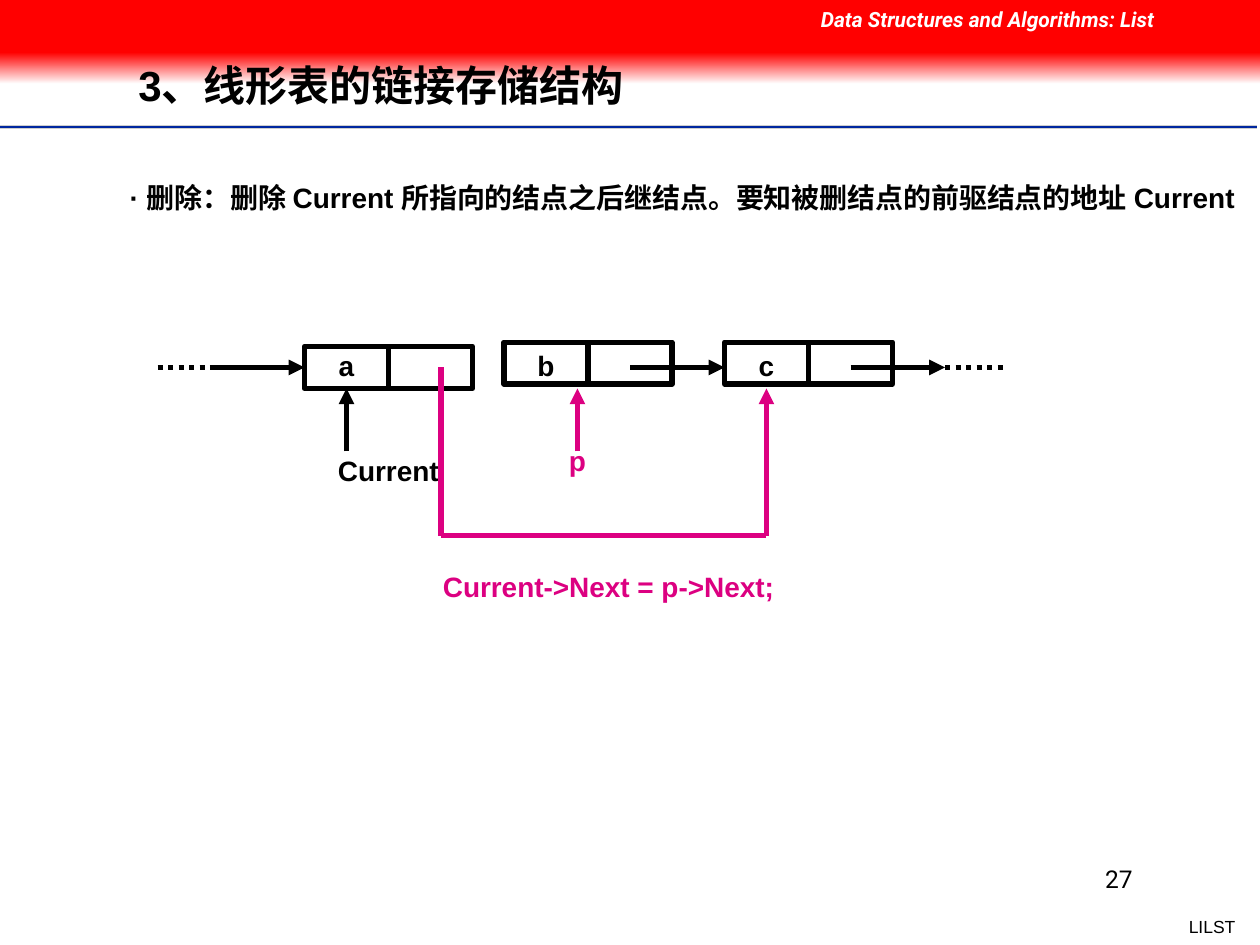
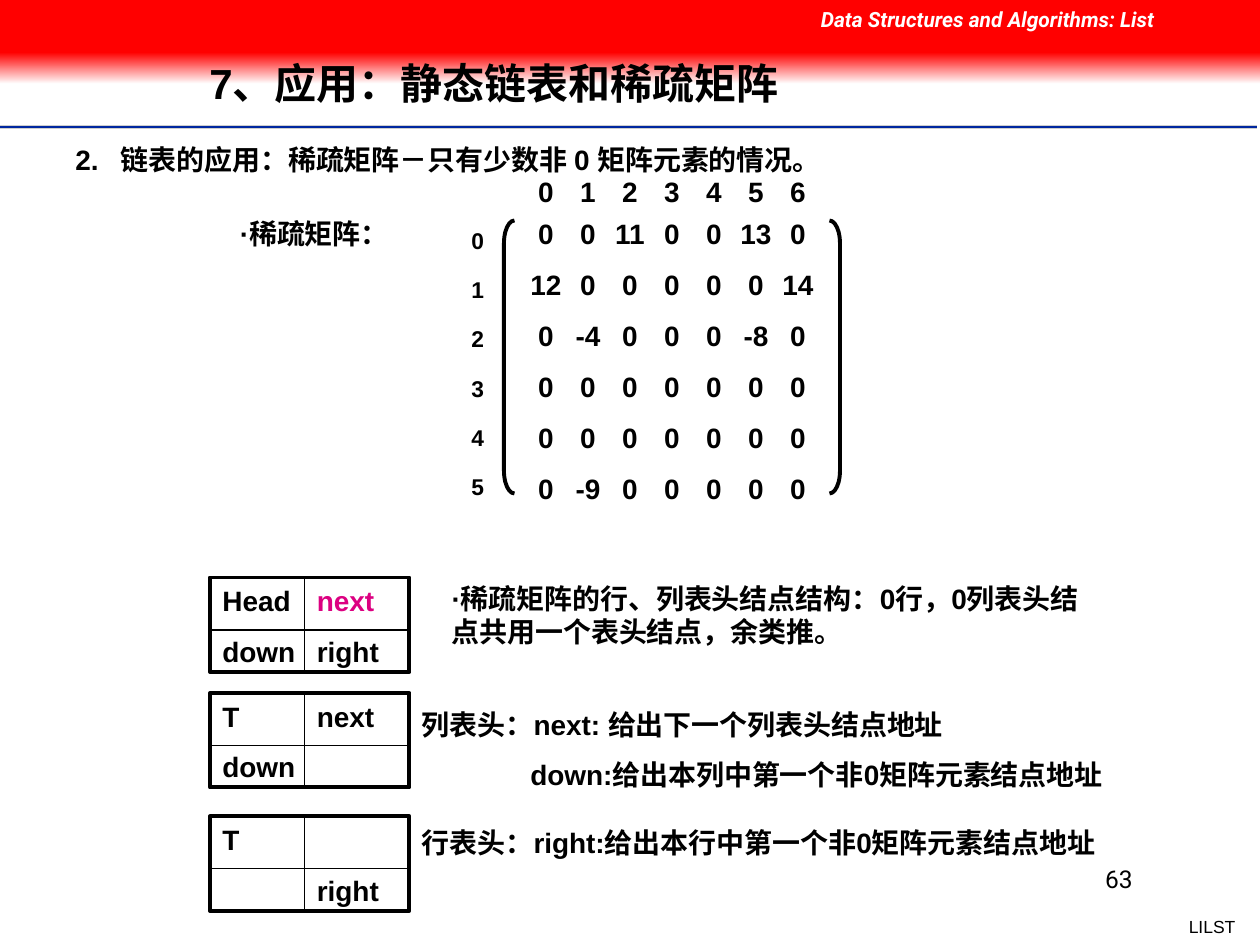
from dataclasses import dataclass

from lxml import etree
from pptx import Presentation
from pptx.dml.color import RGBColor
from pptx.enum.dml import MSO_LINE
from pptx.enum.shapes import MSO_CONNECTOR, MSO_SHAPE
from pptx.enum.text import MSO_ANCHOR, PP_ALIGN
from pptx.oxml.ns import qn
from pptx.util import Pt

RECT = MSO_SHAPE.RECTANGLE
LEFT_BRACKET, RIGHT_BRACKET = MSO_SHAPE.LEFT_BRACKET, MSO_SHAPE.RIGHT_BRACKET
STRAIGHT = MSO_CONNECTOR.STRAIGHT
DOTTED = MSO_LINE.ROUND_DOT
TOP, MIDDLE = MSO_ANCHOR.TOP, MSO_ANCHOR.MIDDLE
LEFT, CENTER, RIGHT = PP_ALIGN.LEFT, PP_ALIGN.CENTER, PP_ALIGN.RIGHT


@dataclass(frozen=True)
class Theme:
    width: int = 720
    height: int = 540
    font: str = "Arial"
    band_font: str = "Roboto"
    black: str = "000000"
    white: str = "FFFFFF"
    red: str = "FF0000"
    pink: str = "DC0081"
    blue: str = "00279F"
    grey: str = "CECECE"
    title: int = 24
    body: int = 16
    page: int = 14
    index: int = 13
    band: int = 12
    footer: int = 10
    heavy: float = 3
    medium: float = 2.25
    thin: float = 0.75
    gap: int = 10
    line_box: float = 26.6


T = Theme()
rgb = RGBColor.from_string


def add_text(s, box, paras, *, size=T.body, color=T.black, font=T.font,
             bold=True, italic=False, align=LEFT, anchor=TOP, wrap=True,
             margin=0, indent=0, gap=T.gap, spacing=None):
    """Takes one string, or a list with one string for each paragraph."""
    tf = s.shapes.add_textbox(*map(Pt, box)).text_frame
    tf.word_wrap = wrap
    tf.vertical_anchor = anchor
    for i, para in enumerate([paras] if isinstance(paras, str) else paras):
        p = tf.add_paragraph() if i else tf.paragraphs[0]
        p.alignment = align
        if spacing:
            p.line_spacing = spacing
        if i:
            p.space_before = Pt(gap)
        if margin:
            pPr = p._p.get_or_add_pPr()
            pPr.set("marL", str(Pt(margin)))
            pPr.set("indent", str(Pt(indent)))
        r = p.add_run()
        r.text = para
        r.font.name, r.font.size = font, Pt(size)
        r.font.bold, r.font.italic = bold, italic
        r.font.color.rgb = rgb(color)


def add_shape(s, kind, box, fill=None, width=None):
    sp = s.shapes.add_shape(kind, *map(Pt, box))
    sp.shadow.inherit = False
    if fill:
        sp.fill.solid()
        sp.fill.fore_color.rgb = rgb(fill)
    else:
        sp.fill.background()
    if width:
        sp.line.color.rgb = rgb(T.black)
        sp.line.width = Pt(width)
    else:
        sp.line.fill.background()
    return sp


def add_line(s, start, end, width=T.heavy, color=T.black, arrow=False, dash=None):
    c = s.shapes.add_connector(STRAIGHT, *map(Pt, (*start, *end)))
    c.line.color.rgb = rgb(color)
    c.line.width = Pt(width)
    if dash:
        c.line.dash_style = dash
    spPr = c._element.spPr
    if arrow:
        etree.SubElement(spPr.find(qn("a:ln")), qn("a:tailEnd"), type="triangle")
    etree.SubElement(spPr, qn("a:effectLst"))


def add_frame(s, page, title, title_left, title_top):
    """Rules, footer, page number, red band and title of every slide."""
    for y, width, color in [(72.7, 2, T.grey), (72.7, 1, T.blue), (74.2, 1, T.white)]:
        add_line(s, (0, y), (718.5, y), width, color)
    add_text(s, (672, 520, 41, 19), "LILST", size=T.footer, bold=False,
             align=RIGHT, wrap=False)
    add_text(s, (516.4, 490.4, 138, 36), page, size=T.page, font=T.band_font,
             bold=False, align=RIGHT)
    fade = add_shape(s, RECT, (0, 30, T.width, 18), T.red)
    fade.fill.gradient()
    fade.fill.gradient_angle = 270
    for stop, color in zip(fade.fill.gradient_stops, (T.red, T.white)):
        stop.color.rgb = rgb(color)
    add_shape(s, RECT, (0, 0, T.width, 30), T.red)
    add_text(s, (462, 0, 258, 21.6), "Data Structures and Algorithms: List",
             size=T.band, color=T.white, font=T.band_font, italic=True)
    add_text(s, (title_left, title_top, 544, 53), title, size=T.title,
             anchor=MIDDLE, spacing=0.9)


def add_list_node(s, x, y, label, label_top):
    w, h = 96, 24
    add_shape(s, RECT, (x, y, w, h), T.white, T.heavy)
    add_line(s, (x + w / 2, y), (x + w / 2, y + h))
    add_text(s, (x, label_top, w / 2, T.line_box), label, align=CENTER)


def add_linked_list(s, x, y):
    """Nodes a, b and c with their links, and the link that skips b."""
    axis, below, stem, floor = y + 14.5, y + 26.5, y + 62.5, y + 110.5
    for label, dx, dy in [("a", 84, 2.5), ("b", 198, 0), ("c", 324, 0)]:
        add_list_node(s, x + dx, y + dy, label, y)
    for dx in (30, 270, 396):
        add_line(s, (x + dx, axis), (x + dx + 54, axis), arrow=True)
    for dx, length in [(0, 30), (450, 36)]:
        add_line(s, (x + dx, axis), (x + dx + length, axis), dash=DOTTED)
    for dx, color in [(108, T.black), (240, T.pink)]:
        add_line(s, (x + dx, stem), (x + dx, below), color=color, arrow=True)
    add_text(s, (x + 96, y + 60, 90, T.line_box), "Current")
    add_text(s, (x + 228, y + 54.5, 24, T.line_box), "p", color=T.pink)

    skip_from, skip_to = x + 162, x + 348
    add_line(s, (skip_from, axis), (skip_from, floor), color=T.pink)
    add_line(s, (skip_from, floor), (skip_to, floor), color=T.pink)
    add_line(s, (skip_to, floor), (skip_to, below), color=T.pink, arrow=True)
    add_text(s, (x + 156, y + 126.5, 240, T.line_box), "Current->Next = p->Next;",
             color=T.pink)


def add_matrix(s, x, y):
    """Sparse matrix in brackets, with row and column numbers."""
    rows = ["0 0 11 0 0 13 0", "12 0 0 0 0 0 14", "0 -4 0 0 0 -8 0",
            "0 0 0 0 0 0 0", "0 0 0 0 0 0 0", "0 -9 0 0 0 0 0"]
    pitch, width = 24, 36
    for i, column in enumerate(zip(*(row.split() for row in rows))):
        left = x + 36 + i * pitch
        add_text(s, (left, y - 24, width, T.line_box), str(i), align=CENTER)
        add_text(s, (left, y, width, 173), column, align=CENTER)
    add_text(s, (x, y + 6, 30, 163), [str(i) for i in range(len(rows))],
             size=T.index, align=CENTER, gap=12.5)
    for kind, dx in [(LEFT_BRACKET, 30), (RIGHT_BRACKET, 216)]:
        bracket = add_shape(s, kind, (x + dx, y + 6, 6, 156), width=T.medium)
        bracket.adjustments[0] = 2.16


def add_head_node(s, x, y, cells, next_color=T.black):
    """Two by two node; cells are given row by row, an empty one as ""."""
    w, h, column, row = 114, 54, 54, 30
    add_shape(s, RECT, (x, y, w, h), T.white, T.medium)
    add_line(s, (x, y + row), (x + w, y + row), T.thin)
    add_line(s, (x + column, y), (x + column, y + h), T.thin)
    for i, cell in enumerate(cells):
        if cell:
            dx, dy = i % 2 * column, i // 2 * 29
            add_text(s, (x + dx, y + dy, 60, T.line_box), cell, wrap=False,
                     color=next_color if cell == "next" else T.black)


def add_head_nodes(s, x, y):
    add_head_node(s, x, y, ["Head", "next", "down", "right"], T.pink)
    add_head_node(s, x, y + 66, ["T", "next", "down", ""])
    add_head_node(s, x, y + 136.5, ["T", "", "", "right"])
    add_text(s, (x + 95, y - 1.5, 422, 46),
             "·稀疏矩阵的行、列表头结点结构：0行，0列表头结点共用一个表头结点，余类推。",
             margin=36)
    notes = x + 114
    for dy, margin, note in [
            (70.5, 0, "列表头：next: 给出下一个列表头结点地址"),
            (99.5, 62, "down:给出本列中第一个非0矩阵元素结点地址"),
            (138, 0, "行表头：right:给出本行中第一个非0矩阵元素结点地址")]:
        add_text(s, (notes, y + dy, 468, T.line_box), note, margin=margin)


def build_deletion_slide(s):
    add_frame(s, "27", "3、线形表的链接存储结构", 72, 24)
    add_text(s, (0, 99.5, T.width, 46),
             "· 删除：删除 Current 所指向的结点之后继结点。要知被删结点的前驱结点的地址 Current",
             margin=36, indent=31)
    add_linked_list(s, 90, 195.5)


def build_sparse_matrix_slide(s):
    add_frame(s, "63", "7、应用：静态链表和稀疏矩阵", 112.5, 22.8)
    add_text(s, (0, 78, 690, T.line_box),
             "2.\t链表的应用：稀疏矩阵－只有少数非 0 矩阵元素的情况。",
             margin=62, indent=-26)
    add_text(s, (0, 120, 690, T.line_box), "·稀疏矩阵：", margin=36, indent=94)
    add_matrix(s, 258, 120)
    add_head_nodes(s, 120, 330)


def main():
    prs = Presentation()
    prs.slide_width, prs.slide_height = Pt(T.width), Pt(T.height)
    blank = prs.slide_layouts[6]
    for build in (build_deletion_slide, build_sparse_matrix_slide):
        build(prs.slides.add_slide(blank))
    prs.save("out.pptx")


if __name__ == "__main__":
    main()
